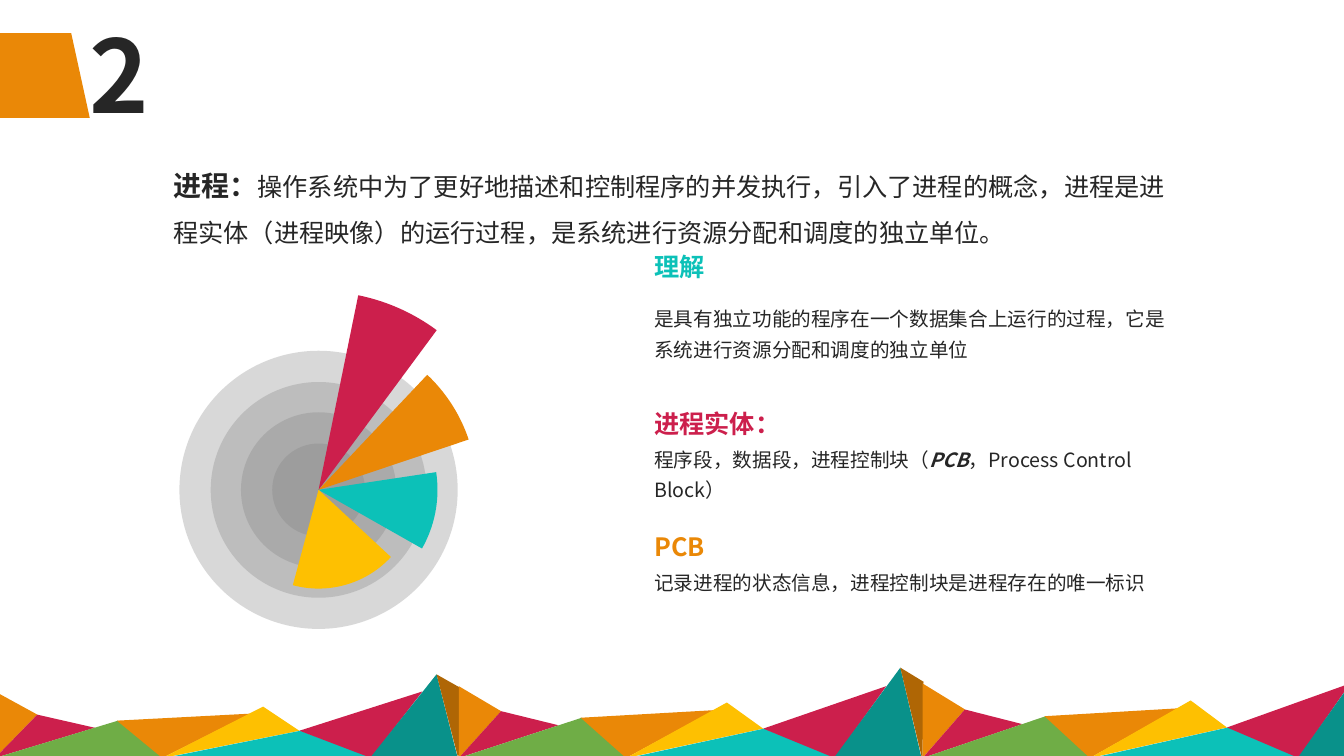
from dataclasses import dataclass

from lxml import etree
from pptx import Presentation
from pptx.dml.color import RGBColor
from pptx.enum.shapes import MSO_SHAPE
from pptx.enum.text import MSO_ANCHOR, PP_ALIGN
from pptx.oxml.ns import qn
from pptx.util import Inches, Pt

OVAL = MSO_SHAPE.OVAL
SECTOR = MSO_SHAPE.PIE
TAB = MSO_SHAPE.FLOWCHART_MANUAL_INPUT


@dataclass(frozen=True)
class Theme:
    font: str = "Noto Sans CJK SC"
    ink: str = "262626"
    grey: str = "808080"
    orange: str = "EA8807"
    brown: str = "AF6605"
    red: str = "CC1F4C"
    teal: str = "0CC1B8"
    deep_teal: str = "09918A"
    yellow: str = "FEC001"
    green: str = "6FAD46"
    number: int = 72
    lead: int = 20
    heading: int = 18
    body: int = 14


T = Theme()

# Content: each run is (text, bold, italic)
NUMBER = "2"
LEAD_TERM = "进程："
LEAD_TEXT = ("操作系统中为了更好地描述和控制程序的并发执行，引入了进程的概念，"
             "进程是进程实体（进程映像）的运行过程，是系统进行资源分配和调度的独立单位。")
# heading, colour, heading top, body top, body height, body runs
SECTIONS = [
    ("理解", T.teal, 2.44, 2.93, 0.68,
     [("是具有独立功能的程序在一个数据集合上运行的过程，它是系统进行资源分配和调度的独立单位", False, False)]),
    ("进程实体：", T.red, 4.0, 4.32, 0.68,
     [("程序段，数据段，进程控制块（", False, False), ("PCB", True, True),
      ("，Process Control Block）", False, False)]),
    ("PCB", T.orange, 5.22, 5.54, 0.38,
     [("记录进程的状态信息，进程控制块是进程存在的唯一标识", False, False)]),
]

# Fan: shared centre, ring radii, and sectors as (radius, from, to, colour) in degrees
CENTRE = (3.16, 4.86)
RINGS = [1.38, 1.07, 0.77, 0.46]
SECTORS = [
    (1.97, 281.52, 306.49, T.red),
    (1.57, 313.35, 341.45, T.orange),
    (1.18, 351.45, 29.55, T.teal),
    (0.98, 42.89, 105.07, T.yellow),
]

# Mountain range: one tile of triangles as (x, height above base), repeated
BASE_Y = 7.52
TILE_LEFT = -0.05
TILE_WIDTH = 4.6
TILE_SCALES = [1, 1.08, 1.12]
MOUNTAINS = [
    (T.orange, [(0, 0), (0, 0.66), (0.42, 0.43)]),
    (T.red, [(0, 0), (0.42, 0.43), (0.99, 0.3)]),
    (T.green, [(0, 0), (1.22, 0.37), (1.68, 0)]),
    (T.orange, [(1.21, 0.37), (2.54, 0.44), (1.66, 0)]),
    (T.yellow, [(3.02, 0.27), (1.66, 0), (2.66, 0.51)]),
    (T.teal, [(3.75, 0), (1.68, 0), (3.03, 0.27)]),
    (T.red, [(3.73, 0), (3.02, 0.27), (4.24, 0.66)]),
    (T.deep_teal, [(4.59, 0), (3.72, 0), (4.38, 0.83)]),
    (T.brown, [(4.61, 0.7), (4.6, -0.02), (4.38, 0.83)]),
]


def paint(s, color, opacity=None):
    s.shadow.inherit = False
    s.line.fill.background()
    s.fill.solid()
    s.fill.fore_color.rgb = RGBColor.from_string(color)
    if opacity is not None:
        clr = s.fill._xPr.find(".//" + qn("a:srgbClr"))
        etree.SubElement(clr, qn("a:alpha")).set("val", str(opacity * 1000))


def add_run(p, text, size, color=T.ink, bold=False, italic=False):
    r = p.add_run()
    r.text = text
    r.font.size = Pt(size)
    r.font.bold = bold
    r.font.italic = italic
    r.font.color.rgb = RGBColor.from_string(color)
    r.font.name = T.font
    etree.SubElement(r.font._element, qn("a:ea")).set("typeface", T.font)


def add_text(slide, left, top, width, height, spacing=1.0):
    s = slide.shapes.add_textbox(Inches(left), Inches(top), Inches(width), Inches(height))
    s.text_frame.word_wrap = True
    p = s.text_frame.paragraphs[0]
    p.line_spacing = spacing
    return p


def add_disc(slide, kind, radius):
    x, y = CENTRE
    return slide.shapes.add_shape(kind, Inches(x - radius), Inches(y - radius),
                                  Inches(2 * radius), Inches(2 * radius))


def add_mountains(slide):
    for i, scale in enumerate(TILE_SCALES):
        left = TILE_LEFT + i * TILE_WIDTH
        for color, corners in MOUNTAINS:
            if left + min(x for x, h in corners) > 13.33:
                continue
            points = [(Inches(left + x), Inches(BASE_Y - h * scale)) for x, h in corners]
            builder = slide.shapes.build_freeform(*points[0])
            builder.add_line_segments(points[1:], close=True)
            paint(builder.convert_to_shape(), color)


def add_number(slide):
    s = slide.shapes.add_shape(TAB, Inches(0.01), Inches(0.29), Inches(0.84), Inches(0.92))
    s.rotation = 90
    paint(s, T.orange)
    title = slide.shapes.title
    title.left, title.top = Inches(0.79), Inches(0.31)
    title.width, title.height = Inches(0.74), Inches(0.99)
    tf = title.text_frame
    tf.vertical_anchor = MSO_ANCHOR.MIDDLE
    p = tf.paragraphs[0]
    p.alignment = PP_ALIGN.LEFT
    p.line_spacing = 0.9
    add_run(p, NUMBER, T.number, bold=True)


def add_fan(slide):
    for radius in RINGS:
        paint(add_disc(slide, OVAL, radius), T.grey, 30)
    for radius, start, end, color in SECTORS:
        s = add_disc(slide, SECTOR, radius)
        # Angles are stored in 60000ths of a degree, adjustments in 100000ths
        s.adjustments[0] = start * 0.6
        s.adjustments[1] = end * 0.6
        paint(s, color)


def add_definitions(slide):
    p = add_text(slide, 1.62, 1.46, 10.13, 1.01, 1.5)
    add_run(p, LEAD_TERM, T.lead, bold=True)
    add_run(p, LEAD_TEXT, T.heading)
    for heading, color, heading_top, body_top, body_height, runs in SECTIONS:
        p = add_text(slide, 6.39, body_top, 5.35, body_height, 1.3)
        for text, bold, italic in runs:
            add_run(p, text, T.body, bold=bold, italic=italic)
        p = add_text(slide, 6.39, heading_top, 5.35, 0.4)
        add_run(p, heading, T.heading, color, bold=True)


def main():
    prs = Presentation()
    prs.slide_width, prs.slide_height = Inches(13.33), Inches(7.5)
    slide = prs.slides.add_slide(prs.slide_layouts[5])
    add_mountains(slide)
    add_number(slide)
    add_fan(slide)
    add_definitions(slide)
    prs.save("out.pptx")


if __name__ == "__main__":
    main()
